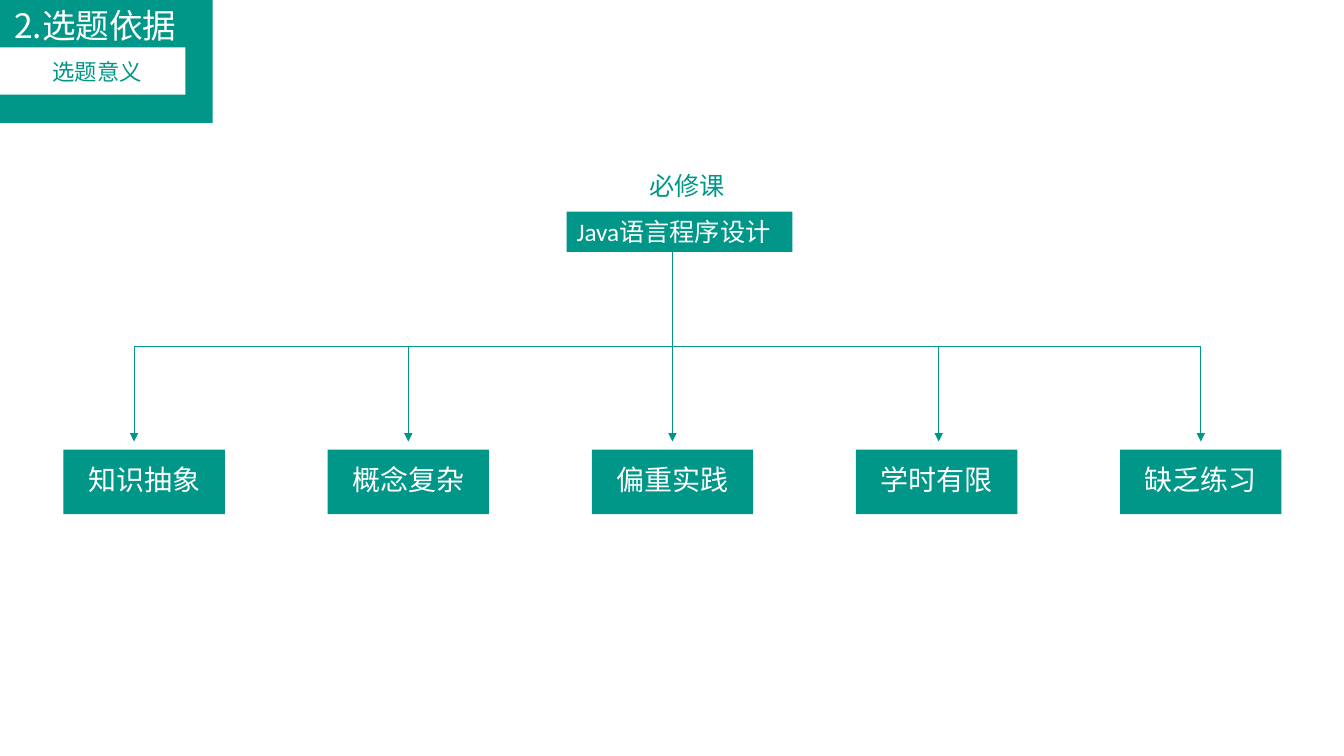
from lxml import etree
from pptx import Presentation
from pptx.dml.color import RGBColor
from pptx.enum import shapes, text
from pptx.oxml import ns
from pptx.util import Inches, Pt

# Content
CHAPTER = "2.选题依据"
SECTION = "选题意义"
COURSE_KIND = "必修课"
COURSE = "Java语言程序设计"
# Each difficulty with the x of the arrow that points to it
DIFFICULTIES = [
    ("知识抽象", 1.33),
    ("概念复杂", 4.05),
    ("偏重实践", 6.67),
    ("学时有限", 9.31),
    ("缺乏练习", 11.91),
]

# Format
TEAL = RGBColor(0x00, 0x96, 0x88)
WHITE = RGBColor(0xFF, 0xFF, 0xFF)
CJK = "Noto Sans CJK SC"
LEFT, CENTER = text.PP_ALIGN.LEFT, text.PP_ALIGN.CENTER
TOP, MIDDLE = text.MSO_ANCHOR.TOP, text.MSO_ANCHOR.MIDDLE

# Layout, in inches
TRUNK_X, TRUNK_TOP, BRANCH_Y, ARROW_END = 6.67, 2.5, 3.44, 4.38
BOX_LEFT, BOX_TOP, BOX_STEP, BOX_W, BOX_H = 0.63, 4.46, 2.62, 1.6, 0.64

deck = Presentation()
deck.slide_width, deck.slide_height = Inches(13.33), Inches(7.5)
slide = deck.slides.add_slide(deck.slide_layouts[6])


def write(holder, words, size, color, align=CENTER, anchor=TOP, latin=CJK,
          margins=(0.1, 0.05), spacing=1.0):
    frame = holder.text_frame
    side, edge = (Inches(m) for m in margins)
    frame_format = {
        "word_wrap": True, "vertical_anchor": anchor,
        "margin_left": side, "margin_right": side,
        "margin_top": edge, "margin_bottom": edge,
    }
    for key, value in frame_format.items():
        setattr(frame, key, value)
    line = frame.paragraphs[0]
    line.alignment, line.line_spacing = align, spacing
    run = line.add_run()
    run.text = words
    for key, value in {"size": Pt(size), "name": latin}.items():
        setattr(run.font, key, value)
    run.font.color.rgb = color
    east_asian = etree.SubElement(run.font._element, ns.qn("a:ea"))
    east_asian.set("typeface", CJK)


def block(left, top, width, height, fill):
    rect = slide.shapes.add_shape(
        shapes.MSO_SHAPE.RECTANGLE, *map(Inches, (left, top, width, height)))
    rect.shadow.inherit = False
    rect.fill.solid()
    rect.fill.fore_color.rgb = fill
    rect.line.fill.background()
    return rect


def label(left, top, width, height):
    return slide.shapes.add_textbox(*map(Inches, (left, top, width, height)))


def arrow(x1, y1, x2, y2):
    bent = x1 != x2
    kind = shapes.MSO_CONNECTOR.ELBOW if bent else shapes.MSO_CONNECTOR.STRAIGHT
    link = slide.shapes.add_connector(kind, *map(Inches, (x1, y1, x2, y2)))
    link.line.color.rgb = TEAL
    link.line.width = Pt(0.5)
    head = etree.SubElement(link.line._get_or_add_ln(), ns.qn("a:tailEnd"))
    head.set("type", "triangle")
    properties = link._element.spPr
    etree.SubElement(properties, ns.qn("a:effectLst"))
    if bent:  # turn down only at the far end
        guides = properties.find(ns.qn("a:prstGeom")).get_or_add_avLst()
        guide = etree.SubElement(guides, ns.qn("a:gd"))
        guide.set("name", "adj1")
        guide.set("fmla", "val 100000")


# Corner heading
block(-0.01, -0.01, 2.12, 1.23, TEAL)
write(block(-0.01, 0, 1.91, 0.5, TEAL), CHAPTER, 24, WHITE)
block(-0.01, 0.47, 1.85, 0.47, WHITE)
write(label(0.04, 0.53, 1.85, 0.37), SECTION, 16, TEAL)

# Course
write(block(5.62, 2.1, 2.24, 0.4, TEAL), COURSE, 18, WHITE, LEFT,
      latin="Calibri")
write(label(6.34, 1.64, 0.98, 0.4), COURSE_KIND, 18, TEAL, LEFT)

# Difficulties and the arrows that lead to them
outer = (0, len(DIFFICULTIES) - 1)
for i, (difficulty, arrow_x) in enumerate(DIFFICULTIES):
    box = block(BOX_LEFT + i * BOX_STEP, BOX_TOP, BOX_W, BOX_H, TEAL)
    write(box, difficulty, 20, WHITE, anchor=MIDDLE, margins=(0.16, 0.09),
          spacing=0.9)
    start_x = TRUNK_X if i in outer else arrow_x
    start_y = TRUNK_TOP if arrow_x == TRUNK_X else BRANCH_Y
    arrow(start_x, start_y, arrow_x, ARROW_END)

deck.save("out.pptx")
